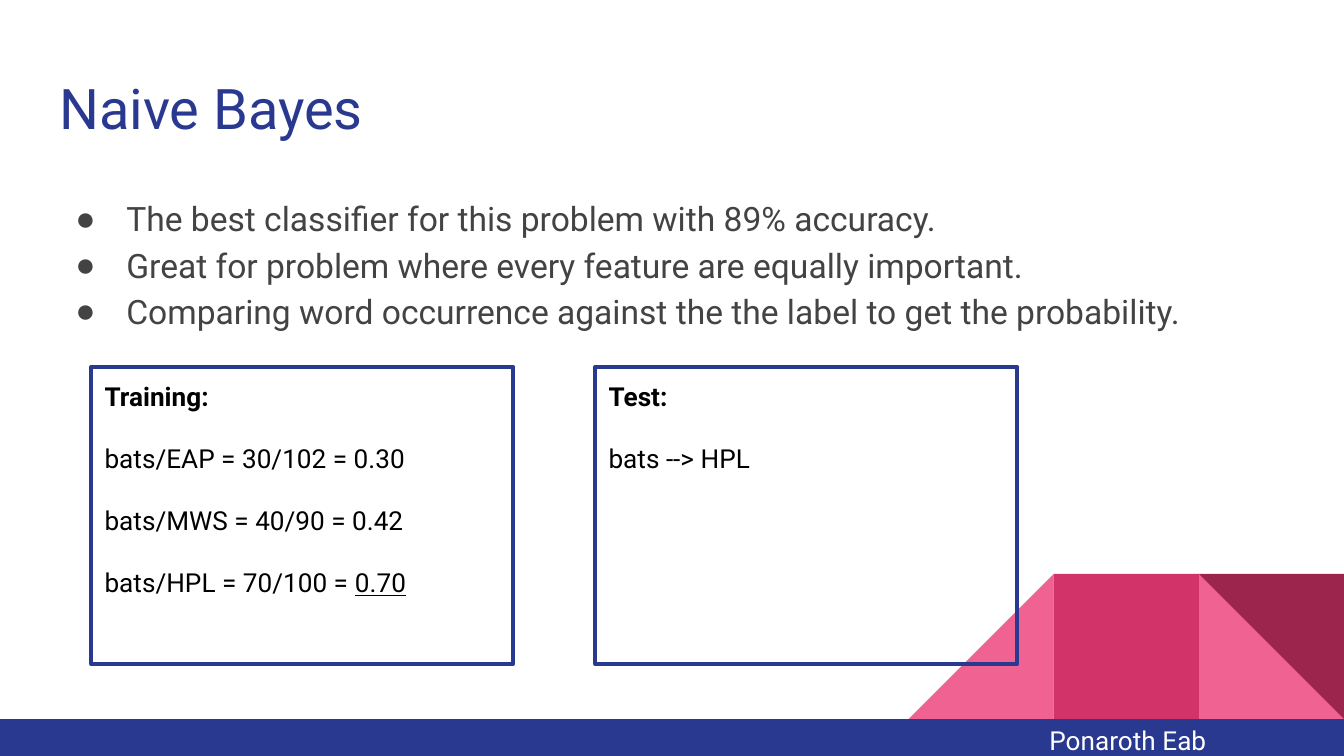
"""Build the Naive Bayes slide."""
import pptx
import pptx.dml.color
import pptx.enum.shapes
import pptx.enum.text
import pptx.oxml.ns
import pptx.util
from lxml import etree

Inches = pptx.util.Inches
Pt = pptx.util.Pt
SHAPES = pptx.enum.shapes.MSO_SHAPE

COLOURS = {
    "navy": "2A3990",
    "pink": "F06292",
    "rose": "D23369",
    "wine": "9C254D",
    "grey": "434343",
    "black": "000000",
    "white": "FFFFFF",
}
FRAME_FORMAT = {
    "margin_left": Inches(0.1),
    "margin_top": Inches(0.1),
    "margin_right": Inches(0.1),
    "margin_bottom": Inches(0.1),
    "word_wrap": True,
    "auto_size": pptx.enum.text.MSO_AUTO_SIZE.NONE,
    "vertical_anchor": pptx.enum.text.MSO_ANCHOR.TOP,
}
BULLETS = [
    "The best classifier for this problem with 89% accuracy.",
    "Great for problem where every feature are equally important.",
    "Comparing word occurrence against the the label to get the probability.",
]
TRAINING = [
    [("Training:", {"bold": True})],
    [("bats/EAP = 30/102 = 0.30", {})],
    [("bats/MWS = 40/90 = 0.42", {})],
    [("bats/HPL = 70/100 = ", {}), ("0.70", {"underline": True})],
]
TEST = [
    [("Test:", {"bold": True})],
    [("bats --> HPL", {})],
]


def rgb(name):
    """Return the named colour."""
    return pptx.dml.color.RGBColor.from_string(COLOURS[name])


def apply_format(target, values):
    """Set each attribute of target from a dict."""
    for name, value in values.items():
        setattr(target, name, value)


def place(item, box):
    """Move and size an item to a left, top, width, height box in inches."""
    names = ("left", "top", "width", "height")
    apply_format(item, dict(zip(names, map(Inches, box))))


def write(item, lines, size, colour, para_format=None, gap=0):
    """Fill an item with paragraphs, each a list of (text, font format) spans."""
    frame = item.text_frame
    apply_format(frame, FRAME_FORMAT)
    for index, line in enumerate(lines):
        para = frame.paragraphs[0] if index == 0 else frame.add_paragraph()
        para.alignment = pptx.enum.text.PP_ALIGN.LEFT
        para.space_before = Pt(gap if index else 0)
        apply_format(para, para_format or {})
        for text, font_format in line:
            span = para.add_run()
            span.text = text
            apply_format(span.font, {"name": "Roboto", "size": Pt(size), **font_format})
            span.font.color.rgb = rgb(colour)


def add_block(page, kind, box, fill=None, line=None, rotation=0):
    """Add a flat preset shape with an optional fill and outline."""
    shape = page.shapes.add_shape(kind, *map(Inches, box))
    shape.shadow.inherit = False
    shape.rotation = rotation
    if fill:
        shape.fill.solid()
        shape.fill.fore_color.rgb = rgb(fill)
    else:
        shape.fill.background()
    if line:
        shape.line.color.rgb = rgb(line)
        shape.line.width = Pt(2.25)
    else:
        shape.line.fill.background()
    return shape


def add_corner(page, box):
    """Draw the folded ribbon of three square tiles."""
    left, top, width, height = box
    tile = width / 3
    parts = [
        (2, SHAPES.RIGHT_TRIANGLE, "pink", 0),
        (0, SHAPES.RIGHT_TRIANGLE, "pink", 270),
        (1, SHAPES.RECTANGLE, "rose", 0),
        (2, SHAPES.RIGHT_TRIANGLE, "wine", 180),
    ]
    for column, kind, fill, rotation in parts:
        tile_box = (left + column * tile, top, tile, height)
        add_block(page, kind, tile_box, fill, rotation=rotation)


def add_footer(page, box):
    """Draw the bottom band with the presenter's name."""
    left, top, width, height = box
    add_block(page, SHAPES.RECTANGLE, box, "navy")
    name_box = (left + 7.71, top - 0.06, 1.83, 0.33)
    label = page.shapes.add_textbox(*map(Inches, name_box))
    write(label, [[("Ponaroth Eab", {})]], 14, "white")


def fill_title(page, box):
    """Place and fill the title placeholder."""
    place(page.shapes.title, box)
    write(page.shapes.title, [[("Naive Bayes", {})]], 30, "navy")


def fill_bullets(page, box):
    """Place and fill the body placeholder with the bullet list."""
    body = page.placeholders[1]
    place(body, box)
    lines = [[(text, {})] for text in BULLETS]
    write(body, lines, 18, "grey", {"line_spacing": 1.15})
    qn = pptx.oxml.ns.qn
    for para in body.text_frame.paragraphs:
        props = para._p.get_or_add_pPr()
        props.set("marL", str(Inches(0.5)))
        props.set("indent", str(Inches(-0.38)))
        bullet_colour = etree.SubElement(props, qn("a:buClr"))
        etree.SubElement(bullet_colour, qn("a:srgbClr"), val=COLOURS["grey"])
        etree.SubElement(props, qn("a:buChar"), char="●")


def add_cards(page, box):
    """Draw the outlined training and test cards side by side."""
    left, top, width, height = box
    card_width = 3.14
    step = width - card_width
    for index, lines in enumerate((TRAINING, TEST)):
        card_box = (left + index * step, top, card_width, height)
        card = add_block(page, SHAPES.RECTANGLE, card_box, line="navy")
        write(card, lines, 14, "black", gap=16.5)


def main():
    """Build and save the deck."""
    deck = pptx.Presentation()
    deck.slide_width, deck.slide_height = Inches(10), Inches(10 * 9 / 16)
    page = deck.slides.add_slide(deck.slide_layouts[1])
    add_corner(page, (6.76, 4.27, 3.24, 1.08))
    add_footer(page, (0, 5.35, 10, 0.28))
    fill_title(page, (0.34, 0.45, 9.32, 0.66))
    fill_bullets(page, (0.34, 1.33, 9.32, 1.3))
    add_cards(page, (0.68, 2.73, 6.89, 2.21))
    deck.save("out.pptx")


if __name__ == "__main__":
    main()
